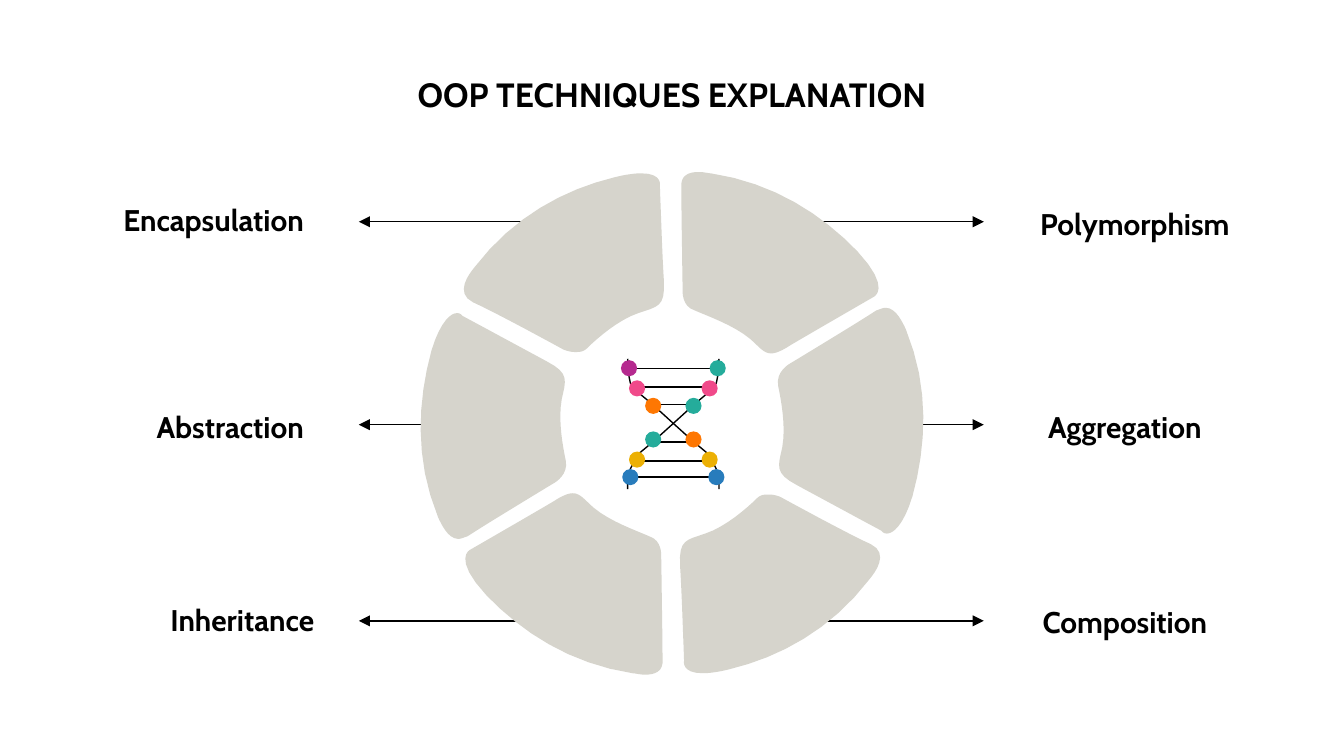
"""Build a slide that shows six OOP techniques around a wheel with a helix."""
import lxml.etree
import pptx
import pptx.dml.color
import pptx.enum.shapes
import pptx.enum.text
import pptx.oxml.ns
import pptx.util

RGB = pptx.dml.color.RGBColor
BLACK = RGB(0x00, 0x00, 0x00)
STONE = RGB(0xD6, 0xD4, 0xCC)
TEAL = RGB(0x25, 0xAC, 0x9B)
PINK = RGB(0xF0, 0x4A, 0x8A)
GOLD = RGB(0xEC, 0xB0, 0x04)
ORANGE = RGB(0xFE, 0x77, 0x02)
BLUE = RGB(0x28, 0x7C, 0xBC)
PLUM = RGB(0xB5, 0x2A, 0x8F)

PX = 9144
WIDE, HIGH = 1000, 562.5
FONT = "Cabin"
ALIGN = pptx.enum.text.PP_ALIGN
LINE = pptx.enum.shapes.MSO_CONNECTOR.STRAIGHT
OVAL = pptx.enum.shapes.MSO_SHAPE.OVAL

TITLE = ("OOP TECHNIQUES EXPLANATION", (295, 45, 410, 37))
SPACED = [
    ("Polymorphism", (764, 139, 186, 35), ALIGN.LEFT),
    ("Abstraction", (93, 290, 143, 35), ALIGN.RIGHT),
    ("Encapsulation", (50, 136, 186, 35), ALIGN.RIGHT),
]
TIGHT = [
    ("Inheritance", (117, 443, 137, 37)),
    ("Aggregation", (770, 299, 146, 37)),
    ("Composition", (766, 444, 150, 37)),
]

TIPS = (267, 732)
ARROWS = [(165, 418, 581), (316, 410, 605), (462, 418, 581)]

TURN = (1000, 630)
WEDGES = [
    ((572, 368), [
        (569, 368, 566, 368, 563, 371), (556, 378, 540, 392, 525, 397),
        (511, 402, 505, 401, 506, 421), (507, 432, 509, 492, 509, 492),
        (509, 492, 507, 501, 523, 501), (528, 501, 535, 500, 543, 498),
        (580, 489, 618, 469, 647, 431), (651, 426, 662, 412, 648, 405),
        (634, 399, 581, 370, 581, 370), (581, 370, 577, 368, 572, 368)]),
    ((659, 229), [
        (657, 229, 655, 230, 652, 231), (640, 239, 587, 271, 587, 271),
        (587, 271, 577, 277, 579, 287), (581, 297, 585, 317, 582, 333),
        (579, 347, 576, 352, 593, 361), (604, 367, 656, 395, 656, 395),
        (656, 395, 657, 397, 660, 397), (664, 397, 672, 392, 679, 369),
        (689, 332, 692, 289, 674, 245), (672, 241, 667, 229, 659, 229)]),
    ((520, 128), [
        (513, 128, 506, 130, 507, 140), (507, 155, 508, 216, 508, 216),
        (508, 216, 507, 228, 517, 231), (526, 235, 546, 242, 558, 252),
        (565, 258, 568, 263, 574, 263), (577, 263, 582, 261, 588, 257),
        (598, 251, 650, 221, 650, 221), (650, 221, 664, 215, 638, 187),
        (612, 160, 576, 136, 529, 129), (527, 129, 524, 128, 520, 128)]),
]

MIRROR = 1002
STRAND = [(467, 267), (468, 280), (469, 285), (476, 293), (482, 298),
          (491, 306), (502, 316), (512, 325), (520, 332), (526, 337),
          (532, 347), (533, 349), (535, 360), (535, 364)]
DOT = 12
PAIRS = [
    (468, 274, 274, PLUM, TEAL),
    (474, 289, 288, PINK, PINK),
    (486, 302, 301, ORANGE, TEAL),
    (486, 327, 329, TEAL, ORANGE),
    (474, 342, 343, GOLD, GOLD),
    (469, 355, 355, BLUE, BLUE),
]


def scale(nums):
    return [round(num * PX) for num in nums]


def curve(start, bends, steps=8):
    dots = [start]
    for ax, ay, bx, by, ex, ey in bends:
        sx, sy = dots[-1]
        for step in range(1, steps + 1):
            t = step / steps
            parts = ((1 - t) ** 3, 3 * t * (1 - t) ** 2, 3 * t * t * (1 - t), t ** 3)
            dots.append((sum(p * x for p, x in zip(parts, (sx, ax, bx, ex))),
                         sum(p * y for p, y in zip(parts, (sy, ay, by, ey)))))
    return dots


def trace(slide, dots, fill=None):
    first, *rest = [scale(dot) for dot in dots]
    draft = slide.shapes.build_freeform(*first)
    draft.add_line_segments(rest, close=fill is not None)
    shape = draft.convert_to_shape()
    shape.shadow.inherit = False
    if fill is None:
        shape.fill.background()
        shape.line.color.rgb = BLACK
        shape.line.width = pptx.util.Pt(0.75)
    else:
        shape.fill.solid()
        shape.fill.fore_color.rgb = fill
        shape.line.fill.background()


def link(slide, start, end, arrow=False):
    line = slide.shapes.add_connector(LINE, *scale(start + end))
    line.line.color.rgb = BLACK
    line.line.width = pptx.util.Pt(0.75)
    qn = pptx.oxml.ns.qn
    props = line._element.spPr
    if arrow:
        lxml.etree.SubElement(props.find(qn("a:ln")), qn("a:tailEnd"), type="triangle")
    lxml.etree.SubElement(props, qn("a:effectLst"))


def write(shape, text, box, size=16, align=ALIGN.LEFT, inset=10, wrap=True,
          space=None, after=0):
    shape.left, shape.top, shape.width, shape.height = scale(box)
    frame = shape.text_frame
    frame.auto_size = pptx.enum.text.MSO_AUTO_SIZE.NONE
    frame.word_wrap = wrap
    frame.vertical_anchor = pptx.enum.text.MSO_ANCHOR.TOP
    frame.margin_left = frame.margin_right = 10 * PX
    frame.margin_top = frame.margin_bottom = inset * PX
    para = frame.paragraphs[0]
    para.alignment = align
    para.line_spacing = space
    para.space_after = pptx.util.Pt(after)
    run = para.add_run()
    run.text = text
    run.font.name = FONT
    run.font.size = pptx.util.Pt(size)
    run.font.bold = True
    run.font.color.rgb = BLACK


def wheel(slide):
    for y, *starts in ARROWS:
        for x, tip in zip(starts, TIPS):
            link(slide, (x, y), (tip, y), arrow=True)
    for start, bends in WEDGES:
        dots = curve(start, bends)
        trace(slide, dots, STONE)
        trace(slide, [(TURN[0] - x, TURN[1] - y) for x, y in dots], STONE)


def helix(slide):
    trace(slide, STRAND)
    trace(slide, [(MIRROR - x, y) for x, y in STRAND])
    for x, y, rung, *hues in PAIRS:
        link(slide, (x, rung), (MIRROR - x, rung))
        for mid, hue in zip((x, MIRROR - x), hues):
            box = (mid - DOT / 2, y - DOT / 2, DOT, DOT)
            dot = slide.shapes.add_shape(OVAL, *scale(box))
            dot.shadow.inherit = False
            dot.fill.solid()
            dot.fill.fore_color.rgb = hue
            dot.line.fill.background()


def main():
    deck = pptx.Presentation()
    deck.slide_width, deck.slide_height = scale((WIDE, HIGH))
    slide = deck.slides.add_slide(deck.slide_layouts[5])
    wheel(slide)
    helix(slide)
    write(slide.shapes.title, *TITLE, size=18, align=ALIGN.CENTER)
    for text, box, align in SPACED:
        write(slide.shapes.add_textbox(0, 0, 0, 0), text, box,
              align=align, space=1.15, after=16)
    for text, box in TIGHT:
        write(slide.shapes.add_textbox(0, 0, 0, 0), text, box, inset=5, wrap=False)
    deck.save("out.pptx")


if __name__ == "__main__":
    main()
